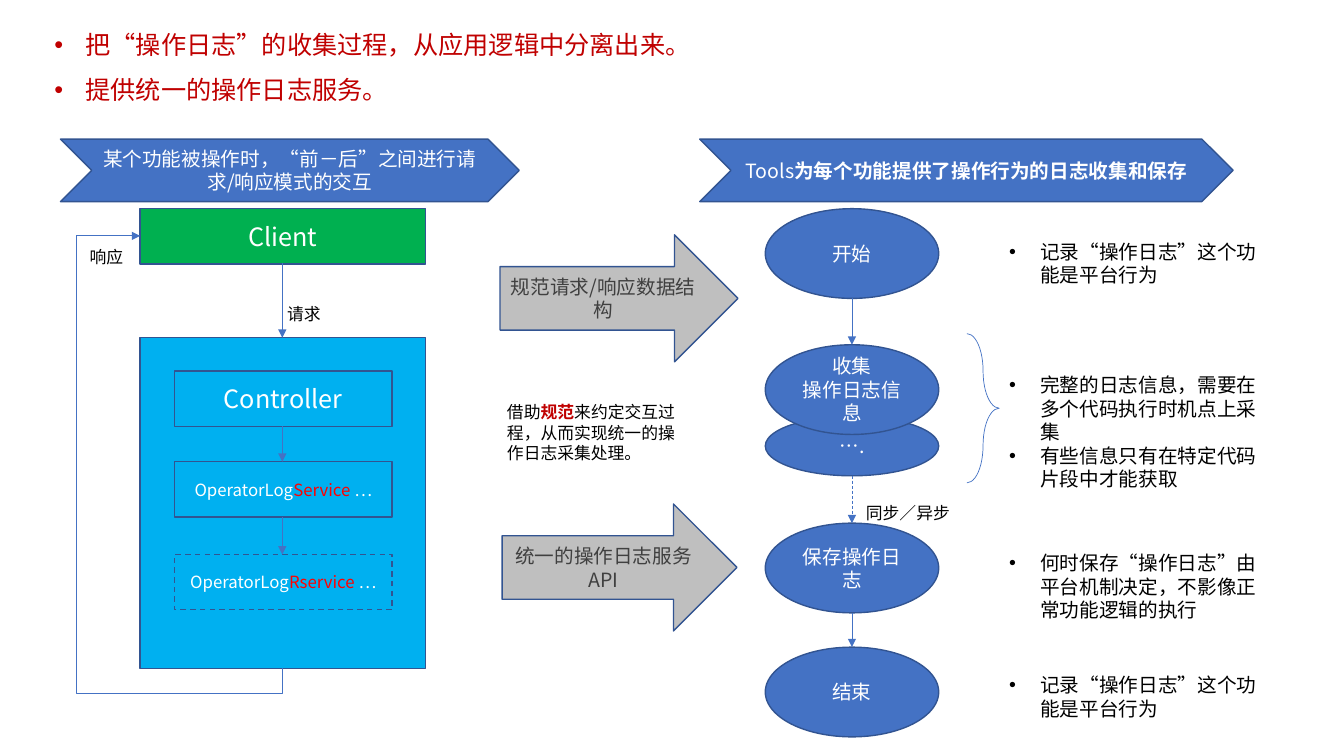
import pptx
import pptx.dml.color
import pptx.enum.dml
import pptx.enum.shapes
import pptx.enum.text
import pptx.oxml
import pptx.oxml.ns
import pptx.util
from lxml import etree

Inches = pptx.util.Inches
Pt = pptx.util.Pt
RGBColor = pptx.dml.color.RGBColor
SHAPE = pptx.enum.shapes.MSO_SHAPE
CONNECTOR = pptx.enum.shapes.MSO_CONNECTOR
ALIGN = pptx.enum.text.PP_ALIGN
DASH = pptx.enum.dml.MSO_LINE.DASH

FONT = "Noto Sans CJK SC"
BLUE = RGBColor(0x44, 0x72, 0xC4)
OUTLINE = RGBColor(0x32, 0x54, 0x91)
SKY = RGBColor(0x00, 0xB0, 0xF0)
GREEN = RGBColor(0x00, 0xB0, 0x50)
GRAY = RGBColor(0xBF, 0xBF, 0xBF)
DARK = RGBColor(0x40, 0x40, 0x40)
RED = RGBColor(0xFF, 0x00, 0x00)
CRIMSON = RGBColor(0xC0, 0x00, 0x00)
WHITE = RGBColor(0xFF, 0xFF, 0xFF)
BLACK = RGBColor(0x00, 0x00, 0x00)

CLIENT_CENTER = 2.8
FLOW_LEFT, FLOW_WIDTH, FLOW_HEIGHT = 7.59, 1.72, 0.89
FLOW_CENTER = FLOW_LEFT + FLOW_WIDTH / 2


def add_element(parent, tag, **attributes):
    return etree.SubElement(parent, pptx.oxml.ns.qn(tag), **attributes)


def write_text(frame, paragraphs, size=14, color=WHITE, font=FONT,
               align=ALIGN.LEFT, bullet=False, spacing=None):
    for index, spans in enumerate(paragraphs):
        para = frame.paragraphs[0] if index == 0 else frame.add_paragraph()
        para.alignment = align
        if spacing:
            para.line_spacing = spacing
        if bullet:
            properties = para._p.get_or_add_pPr()
            properties.set("marL", str(Inches(0.31)))
            properties.set("indent", str(-Inches(0.31)))
            add_element(properties, "a:buFont", typeface="Arial")
            add_element(properties, "a:buChar", char="•")
        for words, span_color, bold in spans:
            span = para.add_run()
            span.text = words
            span.font.size = Pt(size)
            span.font.bold = bold
            span.font.name = font
            span.font.color.rgb = span_color or color
            add_element(span._r.get_or_add_rPr(), "a:ea", typeface=FONT)


def plain(*lines):
    return [[(line, None, False)] for line in lines]


def add_block(page, kind, left, top, width, height, paragraphs=(),
              fill=BLUE, dashed=False, **text_format):
    block = page.shapes.add_shape(kind, Inches(left), Inches(top),
                                  Inches(width), Inches(height))
    block.shadow.inherit = False
    block.fill.solid()
    block.fill.fore_color.rgb = fill
    block.line.color.rgb = OUTLINE
    block.line.width = Pt(1)
    if dashed:
        block.line.dash_style = DASH
    block.text_frame.word_wrap = True
    block.text_frame.vertical_anchor = pptx.enum.text.MSO_ANCHOR.MIDDLE
    write_text(block.text_frame, paragraphs, align=ALIGN.CENTER, **text_format)


def add_text(page, left, top, width, height, paragraphs, wrap=True, **text_format):
    box = page.shapes.add_textbox(Inches(left), Inches(top),
                                  Inches(width), Inches(height))
    box.text_frame.word_wrap = wrap
    box.text_frame.auto_size = pptx.enum.text.MSO_AUTO_SIZE.SHAPE_TO_FIT_TEXT
    write_text(box.text_frame, paragraphs, **text_format)


def style_arrow(arrow, dashed=False):
    arrow.line.color.rgb = BLUE
    arrow.line.width = Pt(0.5)
    if dashed:
        arrow.line.dash_style = DASH
    add_element(arrow.line._get_or_add_ln(), "a:tailEnd", type="triangle")
    add_element(arrow._element.spPr, "a:effectLst")


def add_down_arrow(page, center, top, bottom, dashed=False):
    arrow = page.shapes.add_connector(CONNECTOR.STRAIGHT, Inches(center), Inches(top),
                                      Inches(center), Inches(bottom))
    style_arrow(arrow, dashed)


def add_response_arrow(page):
    arrow = page.shapes.add_connector(CONNECTOR.ELBOW, 0, 0, 0, 0)
    arrow.left, arrow.top = Inches(-0.05), Inches(3.78)
    arrow.width, arrow.height = Inches(4.29), Inches(1.41)
    frame = arrow._element.spPr.find(pptx.oxml.ns.qn("a:xfrm"))
    frame.set("rot", "5400000")
    frame.set("flipH", "1")
    geometry = arrow._element.spPr.find(pptx.oxml.ns.qn("a:prstGeom"))
    geometry.set("prst", "bentConnector4")
    guides = geometry.find(pptx.oxml.ns.qn("a:avLst"))
    for name, value in (("adj1", -5800), ("adj2", 145100)):
        add_element(guides, "a:gd", name=name, fmla=f"val {value}")
    style_arrow(arrow)


def add_brace(page):
    brace = page.shapes.add_shape(SHAPE.RIGHT_BRACE, Inches(9.59), Inches(3.31),
                                  Inches(0.32), Inches(1.48))
    brace.adjustments[0] = 2.47
    brace.shadow.inherit = False
    brace.fill.background()
    brace.line.color.rgb = BLUE
    brace.line.width = Pt(0.5)


def add_headings(page):
    add_text(page, 0.44, 0.09, 7.16, 1.01,
             plain("把“操作日志”的收集过程，从应用逻辑中分离出来。", "提供统一的操作日志服务。"),
             size=18, color=CRIMSON, bullet=True, spacing=1.5)
    add_block(page, SHAPE.CHEVRON, 0.6, 1.38, 4.55, 0.62,
              plain("某个功能被操作时，“前－后”之间进行请求/响应模式的交互"))
    add_block(page, SHAPE.CHEVRON, 6.94, 1.38, 5.29, 0.62,
              [[("Tools", None, False), ("为每个功能提供了操作行为的日志收集和保存", None, True)]])


def add_client_side(page):
    add_block(page, SHAPE.RECTANGLE, 1.39, 3.35, 2.83, 3.28, fill=SKY)
    add_block(page, SHAPE.RECTANGLE, 1.39, 2.07, 2.83, 0.55, plain("Client"),
              fill=GREEN, size=18)
    add_block(page, SHAPE.RECTANGLE, 1.73, 3.68, 2.16, 0.55, plain("Controller"),
              fill=SKY, size=18)
    for top, ending, dashed in ((4.58, "Service ", False), (5.5, "Rservice ", True)):
        spans = [("OperatorLog", None, False), (ending, RED, False), ("…", None, False)]
        add_block(page, SHAPE.RECTANGLE, 1.73, top, 2.16, 0.55, [spans],
                  fill=SKY, dashed=dashed, size=12)
    for top, bottom in ((2.61, 3.35), (4.23, 4.58), (5.13, 5.5)):
        add_down_arrow(page, CLIENT_CENTER, top, bottom)
    add_response_arrow(page)
    for left, top, label in ((2.75, 2.96, "请求"), (0.79, 2.4, "响应")):
        add_text(page, left, top, 0.54, 0.3, plain(label), wrap=False,
                 size=12, color=BLACK)


def add_middle(page):
    add_block(page, SHAPE.RIGHT_ARROW, 4.96, 2.33, 2.36, 1.26,
              plain("规范请求/响应数据结构"), fill=GRAY, color=DARK)
    add_block(page, SHAPE.RIGHT_ARROW, 4.98, 5, 2.33, 1.26,
              plain("统一的操作日志服务API"), fill=GRAY, color=DARK)
    add_text(page, 4.93, 3.94, 1.89, 0.71,
             [[("借助", None, False), ("规范", CRIMSON, True),
               ("来约定交互过程，从而实现统一的操作日志采集处理。", None, False)]],
             size=12, color=BLACK, font="Arial")


def add_log_flow(page):
    add_block(page, SHAPE.OVAL, FLOW_LEFT, 4.13, FLOW_WIDTH, 0.59, plain("…."))
    steps = ((2.07, ["开始"]), (3.42, ["收集", "操作日志信息"]),
             (5.19, ["保存操作日志"]), (6.42, ["结束"]))
    for top, lines in steps:
        add_block(page, SHAPE.OVAL, FLOW_LEFT, top, FLOW_WIDTH, FLOW_HEIGHT, plain(*lines))
    for top, bottom, dashed in ((2.96, 3.42, False), (4.72, 5.19, True), (6.08, 6.42, False)):
        add_down_arrow(page, FLOW_CENTER, top, bottom, dashed)
    add_text(page, 8.49, 4.94, 1.04, 0.3, plain("同步／异步"), wrap=False,
             size=12, color=BLACK)


def add_notes_column(page):
    add_brace(page)
    platform = "记录“操作日志”这个功能是平台行为"
    remarks = (
        (2.33, 0.57, [platform]),
        (3.65, 1.28, ["完整的日志信息，需要在多个代码执行时机点上采集",
                      "有些信息只有在特定代码片段中才能获取"]),
        (5.42, 0.81, ["何时保存“操作日志”由平台机制决定，不影像正常功能逻辑的执行"]),
        (6.63, 0.57, [platform]),
    )
    for top, height, lines in remarks:
        add_text(page, 9.91, top, 2.83, height, plain(*lines), color=BLACK, bullet=True)


def main():
    deck = pptx.Presentation()
    deck.slide_width = Inches(13.33)
    deck.slide_height = Inches(7.5)
    page = deck.slides.add_slide(deck.slide_layouts[6])
    add_headings(page)
    add_client_side(page)
    add_middle(page)
    add_log_flow(page)
    add_notes_column(page)
    deck.save("out.pptx")


main()
